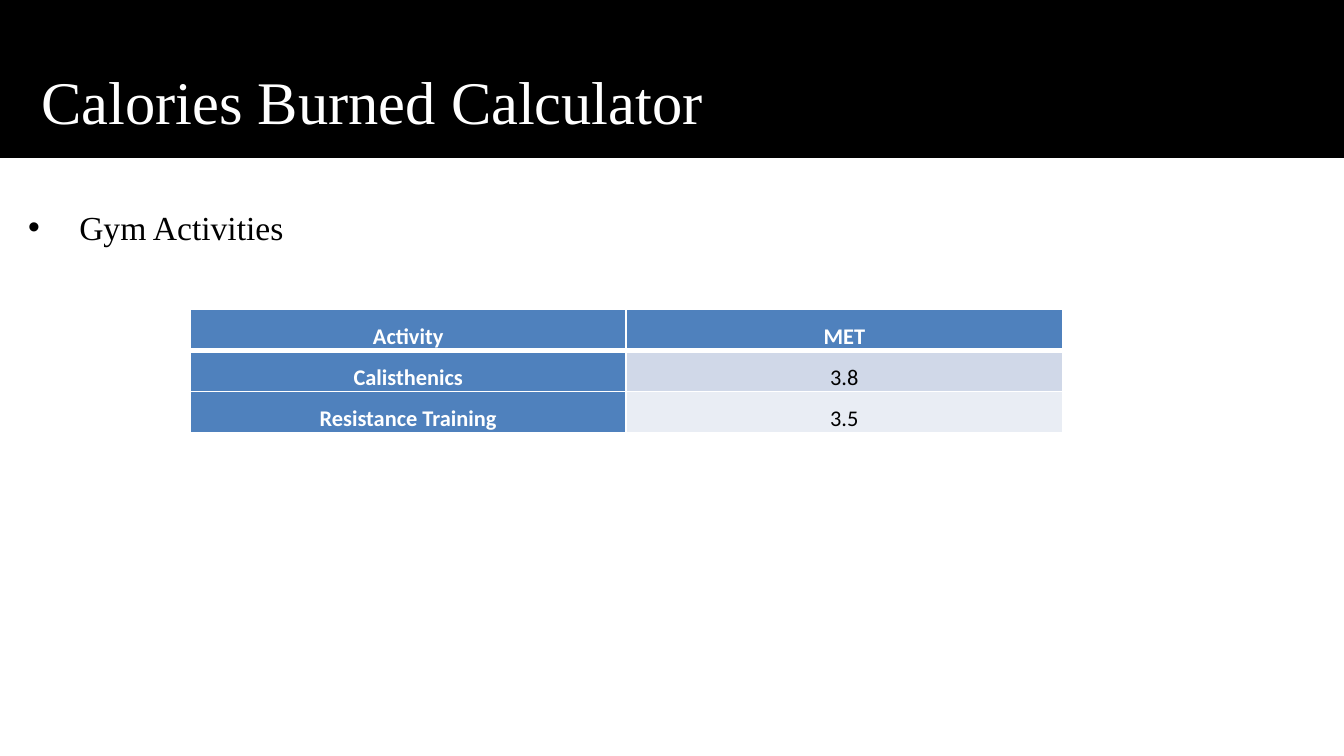
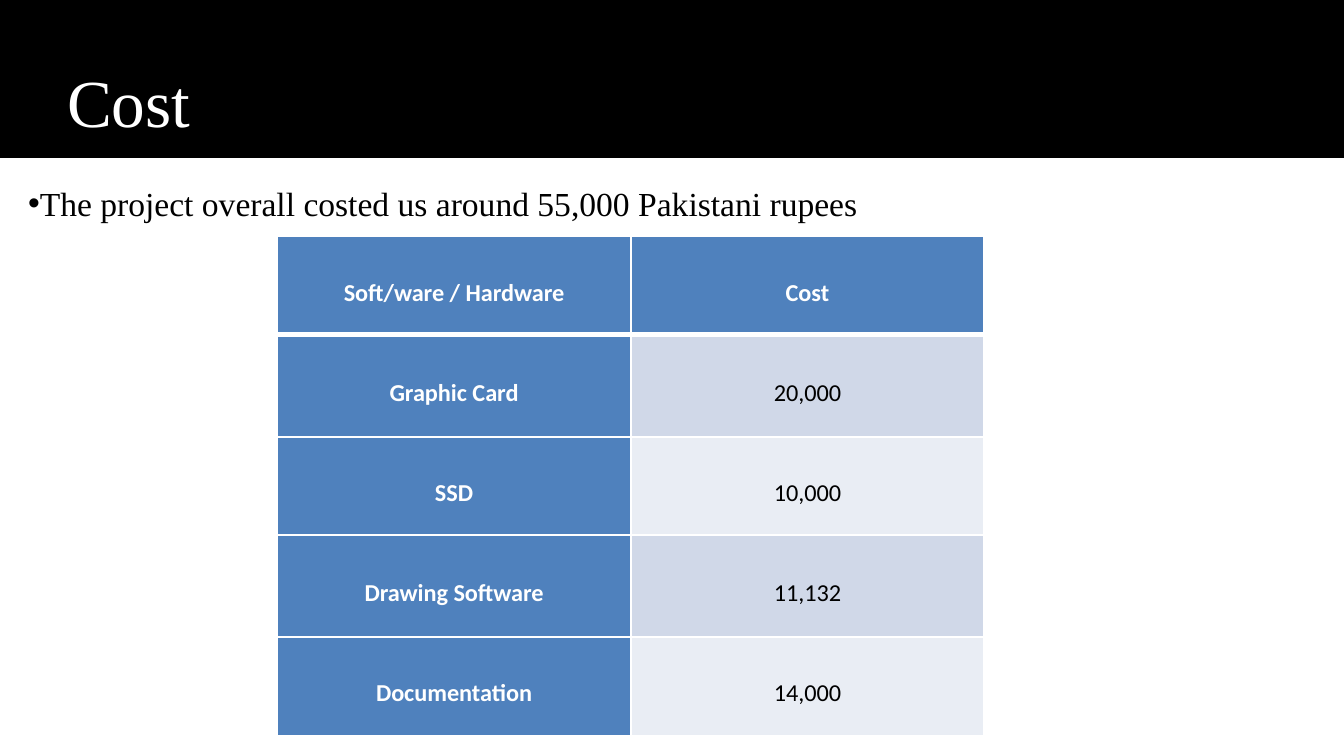
"""Build two project slides, each with a title band, a bullet and a table."""
import lxml.etree
import pptx
import pptx.dml.color
import pptx.enum.shapes
import pptx.enum.text
import pptx.oxml.ns
import pptx.util

COLOURS = {"band": "000000", "title": "FFFFFF", "text": "000000", "border": "FFFFFF",
           "header": "4F81BD", "odd": "D0D8E8", "even": "E9EDF4"}
SERIF, SANS = "Times New Roman", "Calibri"
BAND_HEIGHT = 20.65
LEFT = pptx.enum.text.PP_ALIGN.LEFT
CENTER = pptx.enum.text.PP_ALIGN.CENTER
TOP = pptx.enum.text.MSO_ANCHOR.TOP
MIDDLE = pptx.enum.text.MSO_ANCHOR.MIDDLE

PAGES = [
    {"title": "Calories Burned Calculator", "title_size": 32.4, "title_inset": 0.1,
     "title_place": (2.1, 5.87, 53.3, 14.9),
     "bullet": "Gym Activities", "bullet_margin": 0.38,
     "body_place": (1.1, 23.82, 94, 73.24),
     "table_place": (14.15, 40.93, 64.9, 14.4), "row_shares": [4.8] * 3,
     "table_size": 12, "anchor": TOP,
     "rows": [("Activity", "MET"), ("Calisthenics", "3.8"), ("Resistance Training", "3.5")]},
    {"title": "Cost", "title_size": 36, "title_inset": 0.23,
     "title_place": (2.7, 5.87, 47.3, 14.9),
     "bullet": "The project overall costed us around 55,000 Pakistani rupees",
     "bullet_margin": 0,
     "body_place": (1.1, BAND_HEIGHT, 98.9, 70.22),
     "table_place": (20.63, 31.3, 52.6, 66), "row_shares": [13, 13.5, 13, 13.5, 13],
     "table_size": 13, "anchor": MIDDLE,
     "rows": [("Soft/ware / Hardware", "Cost"), ("Graphic Card", "20,000"), ("SSD", "10,000"),
              ("Drawing Software", "11,132"), ("Documentation", "14,000")]},
]

deck = pptx.Presentation()
deck.slide_width = pptx.util.Inches(10)
deck.slide_height = deck.slide_width * 9 // 16


def measure(left, top, width, height):
    """Turn percentages of the slide into lengths."""
    sides = (deck.slide_width, deck.slide_height) * 2
    return [round(side * share / 100) for side, share in zip(sides, (left, top, width, height))]


def write(frame, text, colour, font_format, paragraph_format):
    """Write one formatted paragraph and return it."""
    para = frame.paragraphs[0]
    span = para.add_run()
    span.text = text
    span.font.color.rgb = pptx.dml.color.RGBColor.from_string(COLOURS[colour])
    for target, values in ((span.font, font_format), (para, paragraph_format)):
        for name, value in values.items():
            setattr(target, name, value)
    return para


for content in PAGES:
    page = deck.slides.add_slide(deck.slide_layouts[1])
    title, body = page.shapes.title, page.placeholders[1]
    for box, place in ((title, content["title_place"]), (body, content["body_place"])):
        box.left, box.top, box.width, box.height = measure(*place)
        box.text_frame.word_wrap = True
        box.text_frame.auto_size = pptx.enum.text.MSO_AUTO_SIZE.NONE

    para = write(body.text_frame, content["bullet"], "text",
                 {"name": SERIF, "size": pptx.util.Pt(18)},
                 {"alignment": LEFT, "line_spacing": 1.5,
                  "space_before": pptx.util.Pt(0), "space_after": pptx.util.Pt(8)})
    properties = para._p.get_or_add_pPr()
    properties.set("marL", str(pptx.util.Inches(content["bullet_margin"])))
    properties.set("indent", str(pptx.util.Inches(-0.38)))
    for tag, name, value in (("a:buFont", "typeface", "Arial"), ("a:buChar", "char", "•")):
        lxml.etree.SubElement(properties, pptx.oxml.ns.qn(tag)).set(name, value)

    band = page.shapes.add_shape(pptx.enum.shapes.MSO_SHAPE.RECTANGLE,
                                 *measure(0, 0, 100, BAND_HEIGHT))
    band.shadow.inherit = False
    band.fill.solid()
    for paint in (band.fill.fore_color, band.line.color):
        paint.rgb = pptx.dml.color.RGBColor.from_string(COLOURS["band"])
    band.line.width = pptx.util.Pt(2)

    page.shapes._spTree.append(title._element)
    title.text_frame.vertical_anchor = MIDDLE
    title.text_frame.margin_left = pptx.util.Inches(content["title_inset"])
    write(title.text_frame, content["title"], "title",
          {"name": SERIF, "size": pptx.util.Pt(content["title_size"])}, {"alignment": LEFT})

    rows = content["rows"]
    table = page.shapes.add_table(len(rows), 2, *measure(*content["table_place"])).table
    table.first_col = True
    for row, share in enumerate(content["row_shares"]):
        table.rows[row].height = round(deck.slide_height * share / 100)
        for column, text in enumerate(rows[row]):
            cell = table.cell(row, column)
            heading = row == 0 or column == 0
            cell_format = {"margin_left": pptx.util.Inches(0.07),
                           "margin_right": pptx.util.Inches(0.07),
                           "margin_top": 0, "margin_bottom": 0,
                           "vertical_anchor": content["anchor"]}
            for name, value in cell_format.items():
                setattr(cell, name, value)
            borders = {"L": 1, "R": 1, "T": 3 if row == 1 else 1, "B": 3 if row == 0 else 1}
            for side, width in borders.items():
                line = lxml.etree.SubElement(cell._tc.get_or_add_tcPr(),
                                             pptx.oxml.ns.qn("a:ln" + side))
                line.set("w", str(pptx.util.Pt(width)))
                paint = lxml.etree.SubElement(line, pptx.oxml.ns.qn("a:solidFill"))
                lxml.etree.SubElement(paint, pptx.oxml.ns.qn("a:srgbClr")).set(
                    "val", COLOURS["border"])
            shade = "header" if heading else "odd" if row % 2 else "even"
            cell.fill.solid()
            cell.fill.fore_color.rgb = pptx.dml.color.RGBColor.from_string(COLOURS[shade])
            write(cell.text_frame, text, "title" if heading else "text",
                  {"name": SANS, "size": pptx.util.Pt(content["table_size"]), "bold": heading},
                  {"alignment": CENTER, "line_spacing": 1.5})

deck.save("out.pptx")
